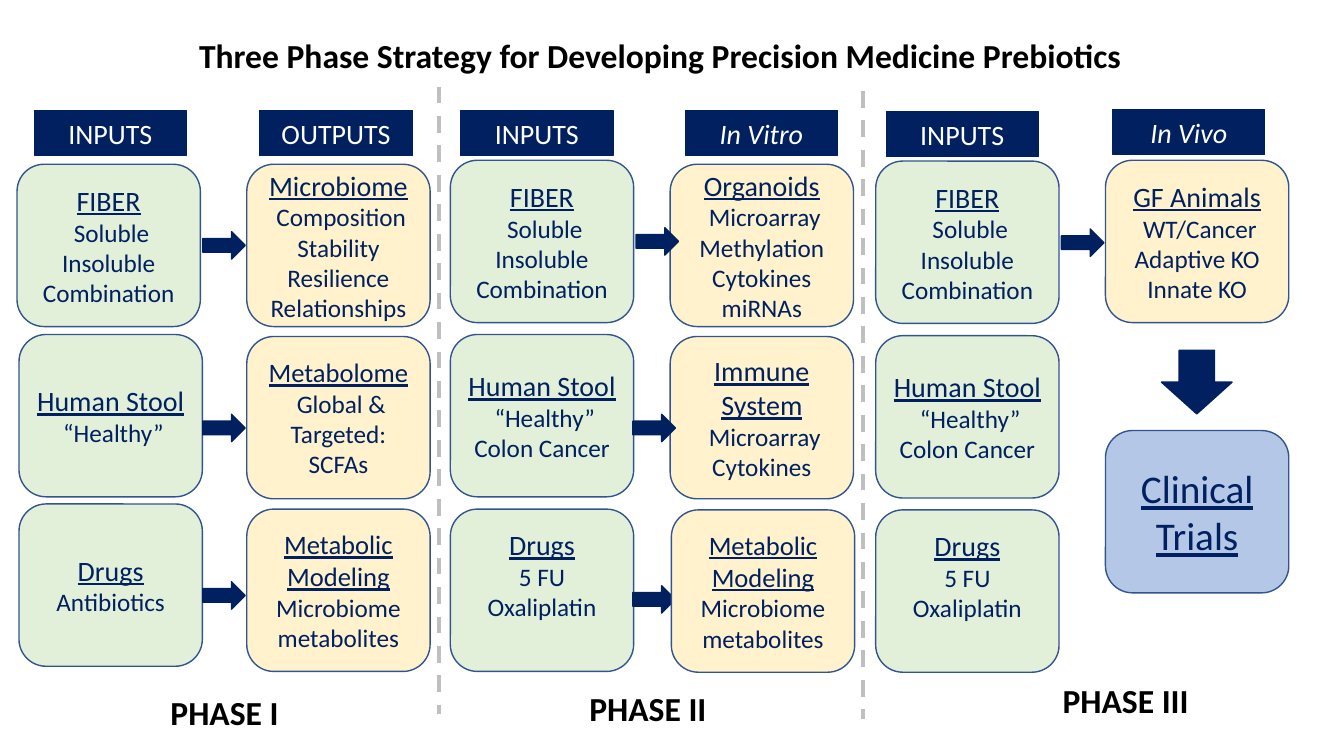
from dataclasses import dataclass

from lxml import etree
from pptx import Presentation
from pptx.dml.color import RGBColor
from pptx.enum import dml, shapes, text
from pptx.oxml import ns
from pptx.util import Cm, Pt


@dataclass(frozen=True)
class Theme:
    font: str = "Calibri"
    navy: str = "002060"
    outline: str = "325491"
    green: str = "E2F0D9"
    cream: str = "FFF2CC"
    blue: str = "B4C7E7"
    grey: str = "BFBFBF"
    black: str = "000000"
    white: str = "FFFFFF"
    title: int = 24
    clinical: int = 28
    heading: int = 20
    tight: int = 19
    body: int = 18


theme = Theme()
kinds = shapes.MSO_SHAPE


def write(box, lines, colour, **formats):
    """Fill a box with centred lines, each a (words, size, underlined) tuple."""
    frame = box.text_frame
    frame.word_wrap = True
    for index, (words, size, underlined) in enumerate(lines):
        para = frame.add_paragraph() if index else frame.paragraphs[0]
        para.alignment = text.PP_ALIGN.CENTER
        para.line_spacing = 1.0
        span = para.add_run()
        span.text = words
        values = {"name": theme.font, "size": Pt(size), "underline": underlined}
        for name, value in {**values, **formats}.items():
            setattr(span.font, name, value)
        span.font.color.rgb = RGBColor.from_string(colour)


def block(kind, left, top, width, height, fill, line=theme.navy, weight=1):
    """Add a flat filled shape, measured in centimetres."""
    shape = page.shapes.add_shape(kind, Cm(left), Cm(top), Cm(width), Cm(height))
    shape.shadow.inherit = False
    shape.fill.solid()
    shape.fill.fore_color.rgb = RGBColor.from_string(fill)
    shape.line.color.rgb = RGBColor.from_string(line)
    shape.line.width = Pt(weight)
    return shape


deck = Presentation()
deck.slide_width, deck.slide_height = Cm(33.87), Cm(19.05)
page = deck.slides.add_slide(deck.slide_layouts[5])

# Title
title = page.shapes.title
title.left, title.top, title.width, title.height = Cm(2.79), Cm(0.74), Cm(27.69), Cm(1.27)
title.text_frame.auto_size = text.MSO_AUTO_SIZE.NONE
title.text_frame.vertical_anchor = text.MSO_ANCHOR.TOP
write(title, [("Three Phase Strategy for Developing Precision Medicine Prebiotics",
               theme.title, False)], theme.black, bold=True)

# Column headers: words, left, top, italic
headers = [
    ("INPUTS", 0.86, 2.79, False), ("OUTPUTS", 6.55, 2.79, False),
    ("INPUTS", 11.61, 2.79, False), ("In Vitro", 17.27, 2.79, True),
    ("INPUTS", 22.33, 2.82, False), ("In Vivo", 28.04, 2.77, True),
]
for words, left, top, italic in headers:
    header = block(kinds.RECTANGLE, left, top, 3.84, 1.12, theme.navy, weight=0.75)
    write(header, [(words, theme.heading, False)], theme.white, italic=italic)

# Cards: left, top, heading size, heading, body lines
fiber = ["FIBER", " Soluble", "Insoluble", "Combination"]
stool = ["Human Stool", " “Healthy”", "Colon Cancer"]
drugs = ["Drugs", "5 FU", "Oxaliplatin"]
modeling = ["Metabolic Modeling", "Microbiome", "metabolites"]
inputs = [
    (0.43, 4.14, theme.heading, fiber),
    (0.48, 8.43, theme.heading, stool[:2]),
    (0.48, 12.7, theme.heading, ["Drugs", "Antibiotics"]),
    (11.35, 4.04, theme.heading, fiber),
    (11.35, 8.43, theme.heading, stool),
    (11.35, 12.83, theme.heading, drugs),
    (22.07, 4.06, theme.heading, fiber),
    (22.07, 8.46, theme.heading, stool),
    (22.07, 12.85, theme.heading, drugs),
]
outputs = [
    (6.22, 4.14, theme.heading,
     ["Microbiome", " Composition", "Stability", "Resilience", "Relationships"]),
    (6.22, 8.48, theme.tight, ["Metabolome", " Global &", "Targeted:", "SCFAs"]),
    (16.89, 4.14, theme.heading,
     ["Organoids", " Microarray", "Methylation", "Cytokines", "miRNAs"]),
    (16.89, 8.48, theme.heading, ["Immune System", " Microarray", "Cytokines"]),
    (27.86, 4.04, theme.heading,
     ["GF Animals", " WT/Cancer", "Adaptive KO", "Innate KO"]),
]
models = [(6.22, 12.83, theme.tight, modeling), (16.92, 12.85, theme.tight, modeling)]
trials = [(27.86, 10.85, theme.clinical, ["Clinical Trials"])]

# Flow arrows: left, top
arrows = [
    (5.11, 5.84), (5.11, 10.44), (5.11, 14.66),
    (16.03, 5.74), (15.95, 10.44), (15.95, 14.76), (26.75, 5.77),
]

# The modeling cards lie in front of the arrows, the other cards behind
layers = [(theme.green, inputs, []), (theme.cream, outputs, arrows),
          (theme.cream, models, []), (theme.blue, trials, [])]
for fill, cards, pointers in layers:
    for left, top, size, (heading, *details) in cards:
        card = block(kinds.ROUNDED_RECTANGLE, left, top, 4.62, 4.09, fill, theme.outline)
        card.text_frame.vertical_anchor = text.MSO_ANCHOR.MIDDLE
        if details == drugs[1:]:
            card.text_frame.margin_bottom = Cm(0.9)
        write(card, [(heading, size, True)] + [(words, theme.body, False) for words in details],
              theme.navy)
    for left, top in pointers:
        block(kinds.RIGHT_ARROW, left, top, 1.07, 0.69, theme.navy)

# Arrow down to the clinical trials
block(kinds.RIGHT_ARROW, 29.36, 8.74, 1.6, 1.78, theme.navy).rotation = 90

# Dashed dividers between phases
for left, top in [(11.07, 2.18), (21.74, 2.29)]:
    divider = page.shapes.add_connector(shapes.MSO_CONNECTOR.STRAIGHT,
                                        Cm(left), Cm(top), Cm(left), Cm(top + 15.82))
    divider.line.color.rgb = RGBColor.from_string(theme.grey)
    divider.line.width = Pt(3)
    divider.line.dash_style = dml.MSO_LINE.DASH
    etree.SubElement(divider._element.spPr, ns.qn("a:effectLst"))

# Phase labels
for words, left, top in [("PHASE I", 2.79, 17.3), ("PHASE II", 13.46, 17.2),
                         ("PHASE III", 25.5, 17.02)]:
    label = page.shapes.add_textbox(Cm(left), Cm(top), Cm(5.74), Cm(1.27))
    write(label, [(words, theme.title, False)], theme.black, bold=True)

deck.save("out.pptx")
